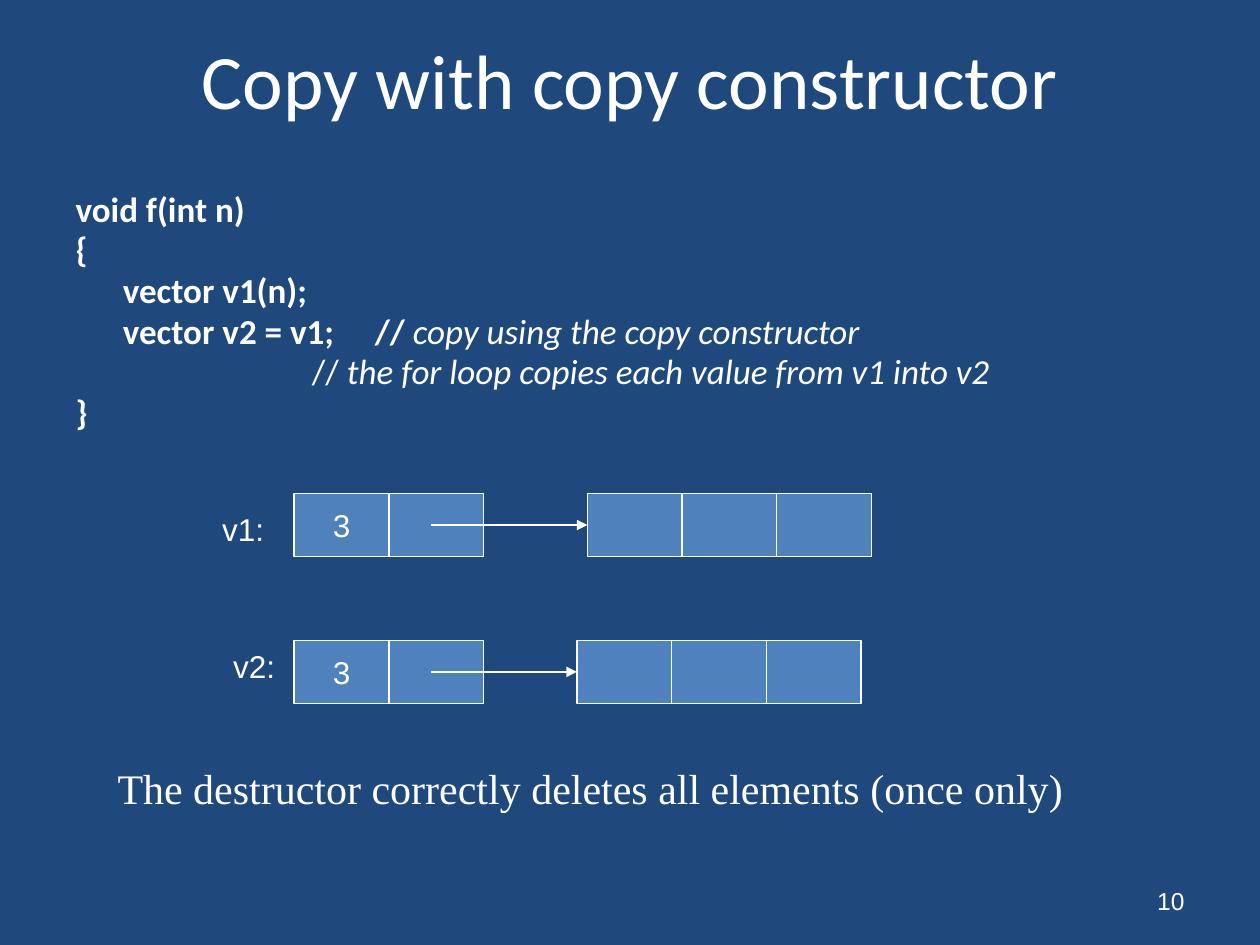
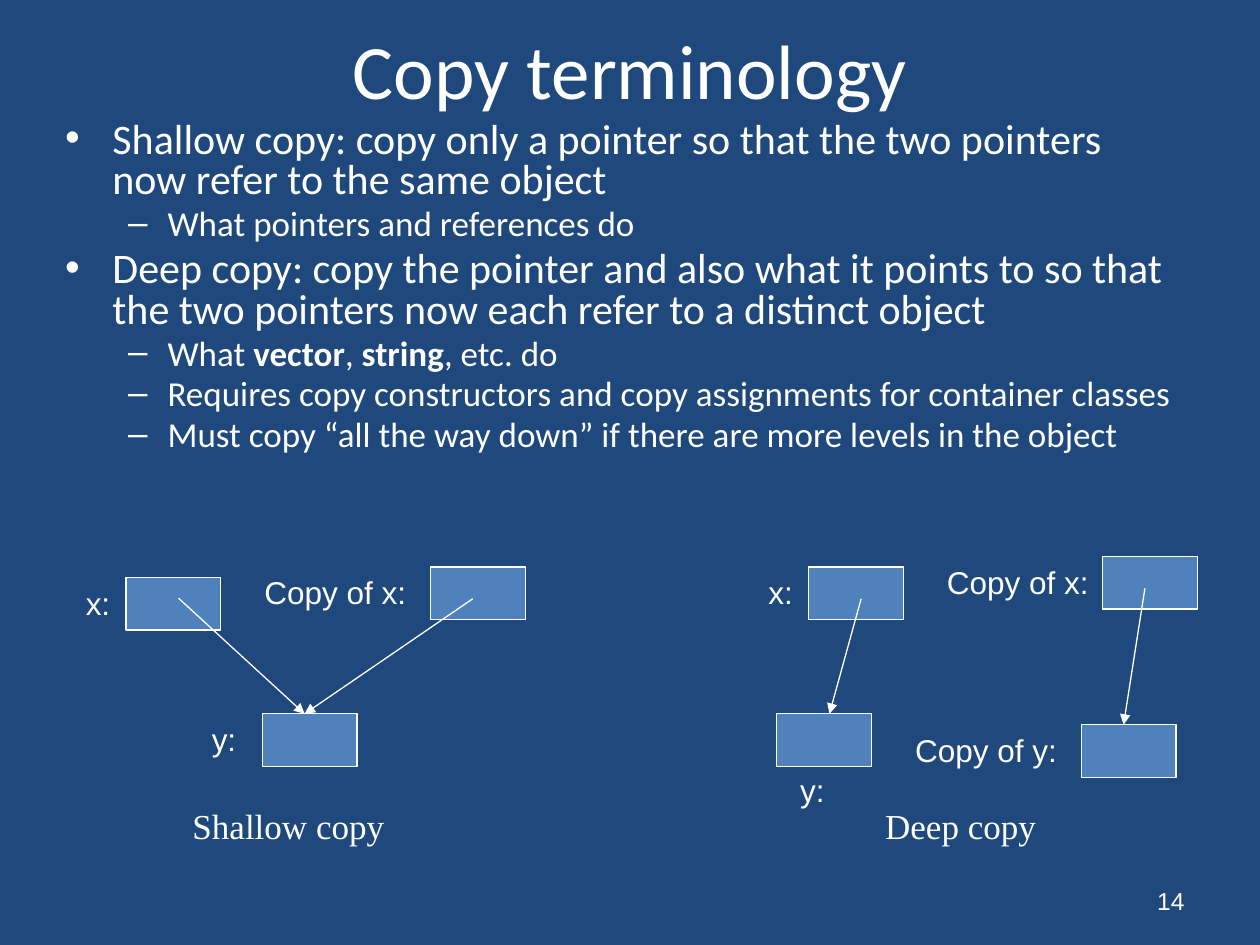
from collections import namedtuple

from lxml import etree
from pptx import Presentation
from pptx.dml.color import RGBColor
from pptx.enum.shapes import MSO_CONNECTOR, MSO_SHAPE
from pptx.enum.text import MSO_ANCHOR, MSO_AUTO_SIZE, PP_ALIGN
from pptx.oxml.ns import qn
from pptx.util import Cm, Pt

LEFT, CENTER, RIGHT = PP_ALIGN.LEFT, PP_ALIGN.CENTER, PP_ALIGN.RIGHT
TOP, MIDDLE = MSO_ANCHOR.TOP, MSO_ANCHOR.MIDDLE
NO_FIT = MSO_AUTO_SIZE.NONE
RECTANGLE, STRAIGHT = MSO_SHAPE.RECTANGLE, MSO_CONNECTOR.STRAIGHT

COLORS = {"background": "1F497D", "cell": "4F81BD", "ink": "FFFFFF"}
TITLE = {"name": "Calibri", "size": Pt(44)}
CODE = {"name": "Calibri", "size": Pt(20)}
LEVELS = [{"name": "Calibri", "size": Pt(24)}, CODE]
LABEL = {"name": "Arial", "size": Pt(18)}
NUMBER = {"name": "Arial", "size": Pt(14)}
REMARK = {"name": "Times New Roman", "size": Pt(24)}
CAPTION = {"name": "Times New Roman", "size": Pt(20)}

# All box and offset values are centimetres.
Box = namedtuple("Box", "left top width height")
CELL_WIDTH, VECTOR_HEIGHT, OBJECT_HEIGHT = 1.91, 1.27, 1.06
LABEL_HEIGHT = 1.02
NUMBER_BOX = Box(18.21, 17.65, 5.92, 1.02)

# Node: label, cell x and y, label x and y, label width.
# Arrow: source node, target node, start offset in the source, end offset along the target.
SHALLOW = {
    "nodes": [("x:", 1.06, 0.42, 0, 0.42, 1.69),
              ("Copy of x:", 7.2, 0.21, 3.6, 0.21, 3.39),
              ("y:", 3.81, 3.17, 2.54, 3.17, 1.69)],
    "arrows": [(0, 2, (1.06, 0.42), 0.85), (1, 2, (0.85, 0.64), 0.85)],
}
DEEP = {
    "nodes": [("x:", 1.06, 0.21, 0, 0.21, 1.69),
              ("Copy of x:", 6.99, 0, 3.6, 0, 3.39),
              ("y:", 0.42, 3.17, 0.64, 4.2, 1.69),
              ("Copy of y:", 6.56, 3.39, 2.96, 3.39, 4.02)],
    "arrows": [(0, 2, (1.06, 0.64), 1.06), (1, 3, (0.85, 0.64), 0.85)],
}

CODE_LINES = [
    [("void f(int n)", "b")],
    [("{", "b")],
    [("\tvector v1(n);", "b")],
    [("\tvector v2 = v1;\t// ", "b"), ("copy using the copy constructor", "i")],
    [("\t\t\t\t// ", ""), ("the for loop copies each value from v1 into v2", "i")],
    [("}", "b")],
]
TERMS = [
    (0, [("Shallow copy: copy only a pointer so that the two pointers "
          "now refer to the same object", "")]),
    (1, [("What pointers and references do", "")]),
    (0, [("Deep copy: copy the pointer and also what it points to so that "
          "the two pointers now each refer to a distinct object", "")]),
    (1, [("What ", ""), ("vector", "b"), (", ", ""), ("string", "b"), (", etc. do", "")]),
    (1, [("Requires copy constructors and copy assignments for container classes", "")]),
    (1, [("Must copy “all the way down” if there are more levels in the object", "")]),
]


def color(key):
    """Return a palette colour."""
    return RGBColor.from_string(COLORS[key])


def in_cm(box):
    """Turn a box into slide lengths."""
    return [Cm(value) for value in box]


def add_runs(paragraph, runs, style):
    """Write (text, marks) runs, where marks may hold b and i."""
    for text, marks in runs:
        run = paragraph.add_run()
        run.text = text
        values = {**style, "bold": "b" in marks, "italic": "i" in marks}
        for attribute, value in values.items():
            setattr(run.font, attribute, value)
        run.font.color.rgb = color("ink")


def fill_frame(frame, text, style, align=LEFT, anchor=TOP):
    """Write one line of text into a frame."""
    values = {"word_wrap": True, "auto_size": NO_FIT, "vertical_anchor": anchor}
    for attribute, value in values.items():
        setattr(frame, attribute, value)
    frame.paragraphs[0].alignment = align
    add_runs(frame.paragraphs[0], [(text, "")], style)


def add_text(slide, box, text, style, align=LEFT, anchor=TOP):
    """Place a text box."""
    frame = slide.shapes.add_textbox(*in_cm(box)).text_frame
    fill_frame(frame, text, style, align, anchor)


def add_cell(slide, box, value=""):
    """Place a memory cell, with its value if it has one."""
    cell = slide.shapes.add_shape(RECTANGLE, *in_cm(box))
    cell.shadow.inherit = False
    cell.fill.solid()
    cell.fill.fore_color.rgb = color("cell")
    cell.line.color.rgb = color("ink")
    cell.line.width = Pt(0.75)
    if value:
        fill_frame(cell.text_frame, value, LABEL, CENTER, MIDDLE)


def add_pointer(slide, start, end):
    """Draw an arrow between two points."""
    pointer = slide.shapes.add_connector(STRAIGHT, *in_cm(start + end))
    pointer.line.color.rgb = color("ink")
    pointer.line.width = Pt(0.75)
    properties = pointer._element.spPr
    etree.SubElement(properties.find(qn("a:ln")), qn("a:tailEnd"), type="triangle")
    etree.SubElement(properties, qn("a:effectLst"))


def add_base(deck, title, title_box, body_box, number):
    """Add a slide with its title, body box and number; return slide and body frame."""
    slide = deck.slides.add_slide(deck.slide_layouts[1])
    heading, body = slide.placeholders
    for placeholder, box in ((heading, title_box), (body, body_box)):
        for side, value in zip(Box._fields, in_cm(box)):
            setattr(placeholder, side, value)
    fill_frame(heading.text_frame, title, TITLE, CENTER, MIDDLE)
    body.text_frame.auto_size = NO_FIT
    add_text(slide, NUMBER_BOX, number, NUMBER, RIGHT, MIDDLE)
    return slide, body.text_frame


def fill_body(frame, items, bullets=True):
    """Write (level, runs) items into the body."""
    for index, (level, runs) in enumerate(items):
        paragraph = frame.add_paragraph() if index else frame.paragraphs[0]
        paragraph.level = level
        paragraph.line_spacing = 0.8
        if not bullets:
            etree.SubElement(paragraph._p.get_or_add_pPr(), qn("a:buNone"))
        add_runs(paragraph, runs, LEVELS[level] if bullets else CODE)


def add_vector(slide, box, name, label_offset, size=3):
    """Draw a vector: size and pointer cells at the left, elements at the right."""
    elements = box.left + box.width - size * CELL_WIDTH
    lefts = [box.left, box.left + CELL_WIDTH]
    lefts += [elements + index * CELL_WIDTH for index in range(size)]
    for index, left in enumerate(lefts):
        add_cell(slide, Box(left, box.top, CELL_WIDTH, box.height),
                 "" if index else str(size))
    middle = box.top + box.height / 2
    add_pointer(slide, (box.left + 2.75, middle), (elements, middle))
    dx, dy = label_offset
    add_text(slide, Box(box.left + dx, box.top + dy, 1.69, LABEL_HEIGHT), name, LABEL)


def add_copy_diagram(slide, box, diagram, caption, caption_x):
    """Draw labelled objects, the pointers between them and a caption."""
    corners = []
    for label, x, y, label_x, label_y, label_width in diagram["nodes"]:
        corners.append((box.left + x, box.top + y))
        add_cell(slide, Box(*corners[-1], CELL_WIDTH, OBJECT_HEIGHT))
        add_text(slide, Box(box.left + label_x, box.top + label_y,
                            label_width, LABEL_HEIGHT), label, LABEL)
    for source, target, (dx, dy), end_dx in diagram["arrows"]:
        (left, top), (target_left, target_top) = corners[source], corners[target]
        add_pointer(slide, (left + dx, top + dy), (target_left + end_dx, target_top))
    add_text(slide, Box(box.left + caption_x, box.top + box.height - 1.1, 7.83, 1.1),
             caption, CAPTION, CENTER)


def add_constructor_slide(deck):
    """Build the slide on the copy constructor."""
    slide, body = add_base(deck, "Copy with copy constructor", Box(1.27, 0, 22.86, 3.18),
                           Box(1.27, 3.81, 22.86, 5.29), "10")
    fill_body(body, [(0, runs) for runs in CODE_LINES], bullets=False)
    add_vector(slide, Box(5.93, 9.95, 11.64, VECTOR_HEIGHT), "v1:", (-1.7, 0.21))
    add_vector(slide, Box(5.93, 12.91, 11.43, VECTOR_HEIGHT), "v2:", (-1.48, 0))
    add_text(slide, Box(2.12, 15.24, 19.9, 1.28),
             "The destructor correctly deletes all elements (once only)", REMARK)


def add_terminology_slide(deck):
    """Build the slide on shallow and deep copies."""
    slide, body = add_base(deck, "Copy terminology", Box(1.27, -0.21, 22.86, 3.18),
                           Box(1.06, 2.33, 22.86, 7.2), "14")
    fill_body(body, TERMS)
    add_copy_diagram(slide, Box(1.48, 11.22, 9.11, 5.97), SHALLOW, "Shallow copy", 0.42)
    add_copy_diagram(slide, Box(15.24, 11.22, 8.9, 5.97), DEEP, "Deep copy", 0.21)


def main():
    """Build and save the deck."""
    deck = Presentation()
    deck.slide_width, deck.slide_height = Cm(25.4), Cm(19.05)
    backdrop = deck.slide_master.background.fill
    backdrop.solid()
    backdrop.fore_color.rgb = color("background")
    add_constructor_slide(deck)
    add_terminology_slide(deck)
    deck.save("out.pptx")


main()
